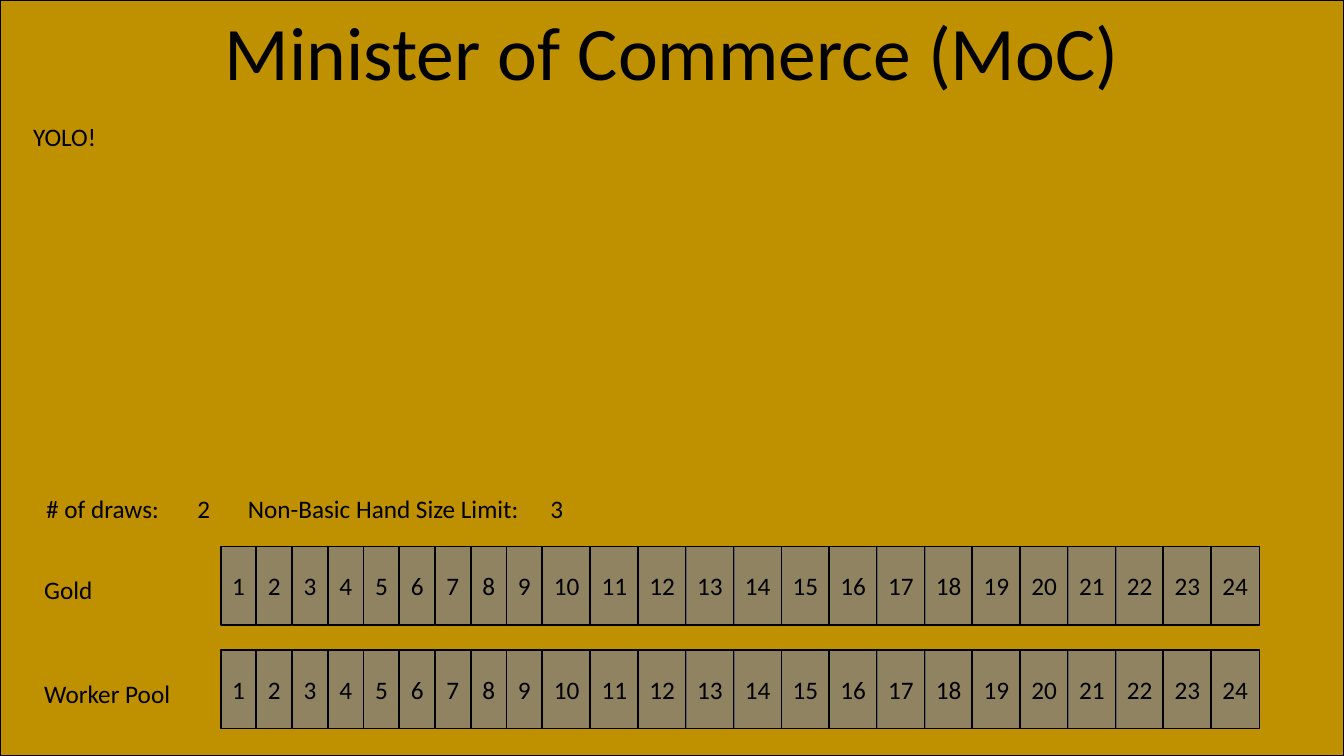
from dataclasses import dataclass

from lxml.etree import SubElement
from pptx import Presentation
from pptx.dml.color import RGBColor
from pptx.enum.shapes import MSO_SHAPE
from pptx.enum.text import MSO_ANCHOR, MSO_AUTO_SIZE, PP_ALIGN
from pptx.oxml.ns import qn
from pptx.util import Inches, Pt


@dataclass(frozen=True)
class Theme:
    gold: RGBColor = RGBColor(0xBF, 0x90, 0x00)
    grey: RGBColor = RGBColor(0x80, 0x80, 0x80)
    black: RGBColor = RGBColor(0, 0, 0)
    font: str = "Calibri"
    title_size: Pt = Pt(54)
    body_size: Pt = Pt(18)
    outline: Pt = Pt(1)


theme = Theme()


def write(shape, text, size=theme.body_size, align=PP_ALIGN.LEFT,
          anchor=MSO_ANCHOR.TOP, wrap=True):
    frame = shape.text_frame
    frame.auto_size = MSO_AUTO_SIZE.NONE
    frame.word_wrap = wrap
    frame.vertical_anchor = anchor
    paragraph = frame.paragraphs[0]
    paragraph.alignment = align
    run = paragraph.add_run()
    run.text = text
    run.font.name = theme.font
    run.font.size = size
    run.font.color.rgb = theme.black


def add_box(left, top, width, height, fill):
    box = slide.shapes.add_shape(MSO_SHAPE.RECTANGLE, Inches(left), Inches(top),
                                 Inches(width), Inches(height))
    box.shadow.inherit = False
    box.fill.solid()
    box.fill.fore_color.rgb = fill
    box.line.color.rgb = theme.black
    box.line.width = theme.outline
    return box


prs = Presentation()
prs.slide_width = Inches(13.33)
prs.slide_height = Inches(7.5)
slide = prs.slides.add_slide(prs.slide_layouts[5])

board = add_box(0, 0, 13.33, 7.5, theme.gold)
title = slide.shapes.title
title.element.addprevious(board.element)
title.left, title.top = Inches(2.08), Inches(0)
title.width, title.height = Inches(9.17), Inches(1.01)
write(title, "Minister of Commerce (MoC)", size=theme.title_size,
      align=PP_ALIGN.CENTER, wrap=False)

labels = [
    ("YOLO!", 0.23, 1.15, 6.36, 0.4),
    ("# of draws:\t2\tNon-Basic Hand Size Limit:\t3", 0.36, 4.84, 6.95, 0.71),
    ("Gold", 0.34, 5.65, 1.96, 0.4),
    ("Worker Pool", 0.34, 6.68, 1.96, 0.4),
]
for text, left, top, width, height in labels:
    label = slide.shapes.add_textbox(Inches(left), Inches(top),
                                     Inches(width), Inches(height))
    write(label, text)

track_start, two_digit_start, last_start = 2.19, 5.38, 12.01
one_digit_step = (two_digit_start - track_start) / 9
two_digit_step = (last_start - two_digit_start) / 14

for track_top in (5.42, 6.45):
    for number in range(1, 25):
        if number < 10:
            left, width = track_start + (number - 1) * one_digit_step, 0.35
        else:
            left, width = two_digit_start + (number - 10) * two_digit_step, 0.48
        counter = add_box(left, track_top, width, 0.78, theme.grey)
        counter_color = counter.element.spPr.find(qn("a:solidFill"))[0]
        SubElement(counter_color, qn("a:alpha"), val="76000")
        write(counter, str(number), align=PP_ALIGN.CENTER, anchor=MSO_ANCHOR.MIDDLE)

prs.save("out.pptx")
